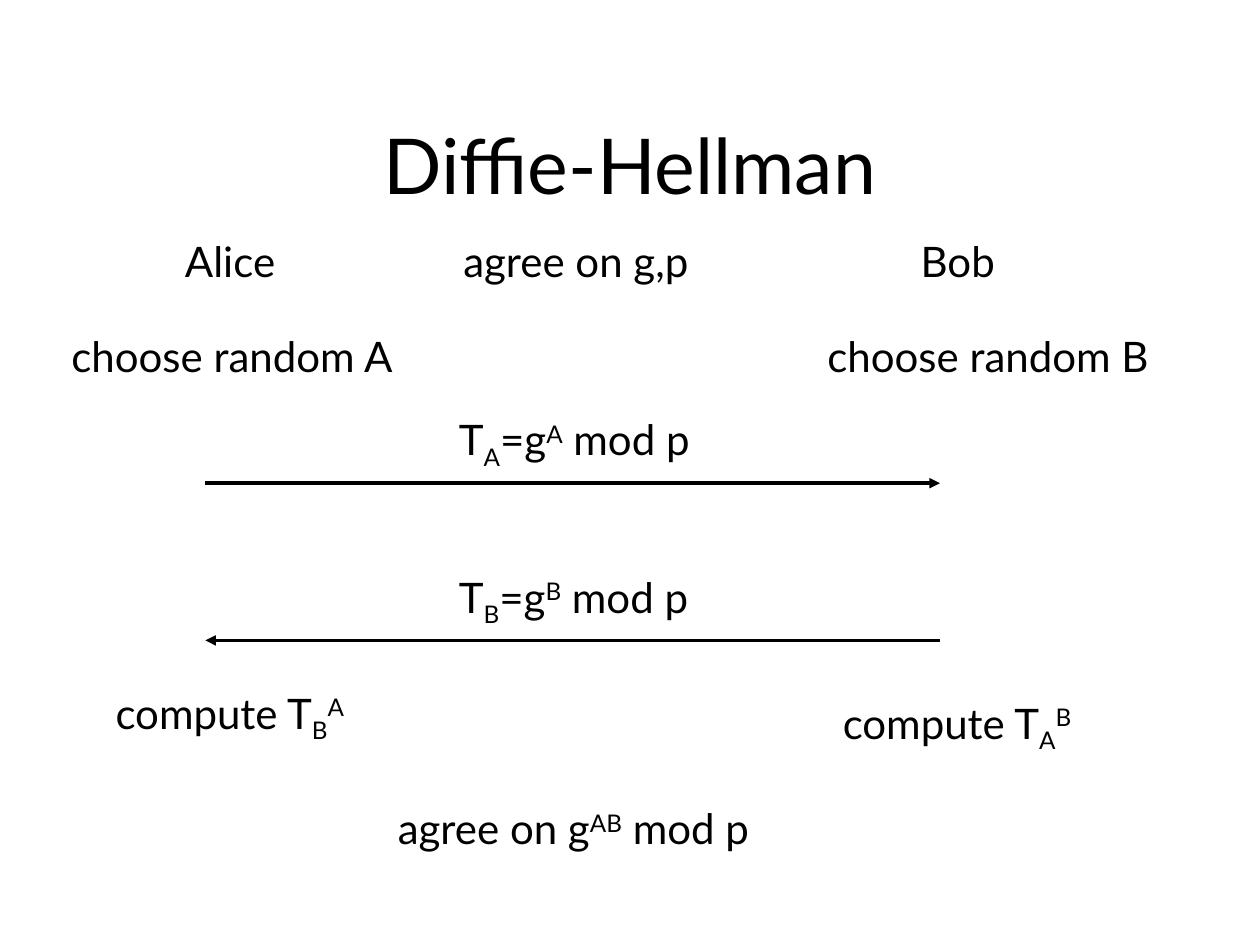
import pptx
import pptx.dml.color
import pptx.enum.shapes
import pptx.enum.text
import pptx.oxml.ns
import pptx.util
from lxml import etree

Cm, Pt = pptx.util.Cm, pptx.util.Pt
ALIGN = pptx.enum.text.PP_ALIGN
ANCHOR = pptx.enum.text.MSO_ANCHOR

THEME = {
    "font": "Lato",
    "ink": pptx.dml.color.RGBColor(0, 0, 0),
    "title": Pt(44),
    "body": Pt(24),
    "line": Pt(2),
    "spacing": 1.01,
}
BASELINE = {"sub": "-25000", "sup": "30000"}

# Content: a run is plain text or a (kind, text) pair; lengths in cm
TITLE = ["Diffie-Hellman"]
TITLE_BOX = (1.9, 1.7, 21.6, 3.18)

NAMES_TOP, CHOOSE_TOP = 4.62, 6.53
STEPS = [  # left, top, width, runs
    (3.48, NAMES_TOP, 2.39, ["Alice"]),
    (9.09, NAMES_TOP, 5.56, ["agree on g,p"]),
    (18.31, NAMES_TOP, 2.11, ["Bob"]),
    (1.19, CHOOSE_TOP, 7.5, ["choose random A"]),
    (16.43, CHOOSE_TOP, 7.52, ["choose random B"]),
    (2.08, 13.72, 5.38, ["compute T", ("sub", "B"), ("sup", "A")]),
    (16.74, 13.92, 5.38, ["compute T", ("sub", "A"), ("sup", "B")]),
    (7.77, 16.05, 8.23, ["agree on g", ("sup", "AB"), " mod p"]),
]

ALICE_X, BOB_X = 4.14, 18.95
MESSAGES = [  # sender, start, end, arrow height
    ("A", ALICE_X, BOB_X, 9.74),
    ("B", BOB_X, ALICE_X, 12.91),
]
MESSAGE_LEFT, MESSAGE_WIDTH, MESSAGE_RISE = 9.0, 5.41, 1.53
PLAIN_H, SUB_H = 1.3, 1.42


def add_text(slide, box, runs, size, align=ALIGN.LEFT, anchor=ANCHOR.TOP, wrap=False):
    tf = slide.shapes.add_textbox(*map(Cm, box)).text_frame
    tf.word_wrap = wrap
    tf.vertical_anchor = anchor
    p = tf.paragraphs[0]
    p.alignment = align
    p.line_spacing = THEME["spacing"]
    p.font.name, p.font.size = THEME["font"], size
    p.font.color.rgb = THEME["ink"]
    for run in runs:
        kind, text = (None, run) if isinstance(run, str) else run
        r = p.add_run()
        r.text = text
        if kind:
            r._r.get_or_add_rPr().set("baseline", BASELINE[kind])


def add_arrow(slide, start, end, y):
    line = slide.shapes.add_connector(
        pptx.enum.shapes.MSO_CONNECTOR.STRAIGHT, Cm(start), Cm(y), Cm(end), Cm(y))
    line.line.color.rgb = THEME["ink"]
    line.line.width = THEME["line"]
    qn = pptx.oxml.ns.qn
    etree.SubElement(line.line._get_or_add_ln(), qn("a:tailEnd"), type="triangle")
    etree.SubElement(line._element.spPr, qn("a:effectLst"))


def main():
    prs = pptx.Presentation()
    prs.slide_width, prs.slide_height = Cm(25.4), Cm(19.05)
    slide = prs.slides.add_slide(prs.slide_layouts[6])

    # Title
    add_text(slide, TITLE_BOX, TITLE, THEME["title"], ALIGN.CENTER, ANCHOR.MIDDLE, True)

    # Steps of both parties
    for left, top, width, runs in STEPS:
        has_sub = any(run[0] == "sub" for run in runs)
        height = SUB_H if has_sub else PLAIN_H
        add_text(slide, (left, top, width, height), runs, THEME["body"])

    # Messages, each above its arrow
    for sender, start, end, y in MESSAGES:
        add_arrow(slide, start, end, y)
        add_text(slide, (MESSAGE_LEFT, y - MESSAGE_RISE, MESSAGE_WIDTH, SUB_H),
                 ["T", ("sub", sender), "=g", ("sup", sender), " mod p"], THEME["body"])

    prs.save("out.pptx")


if __name__ == "__main__":
    main()
